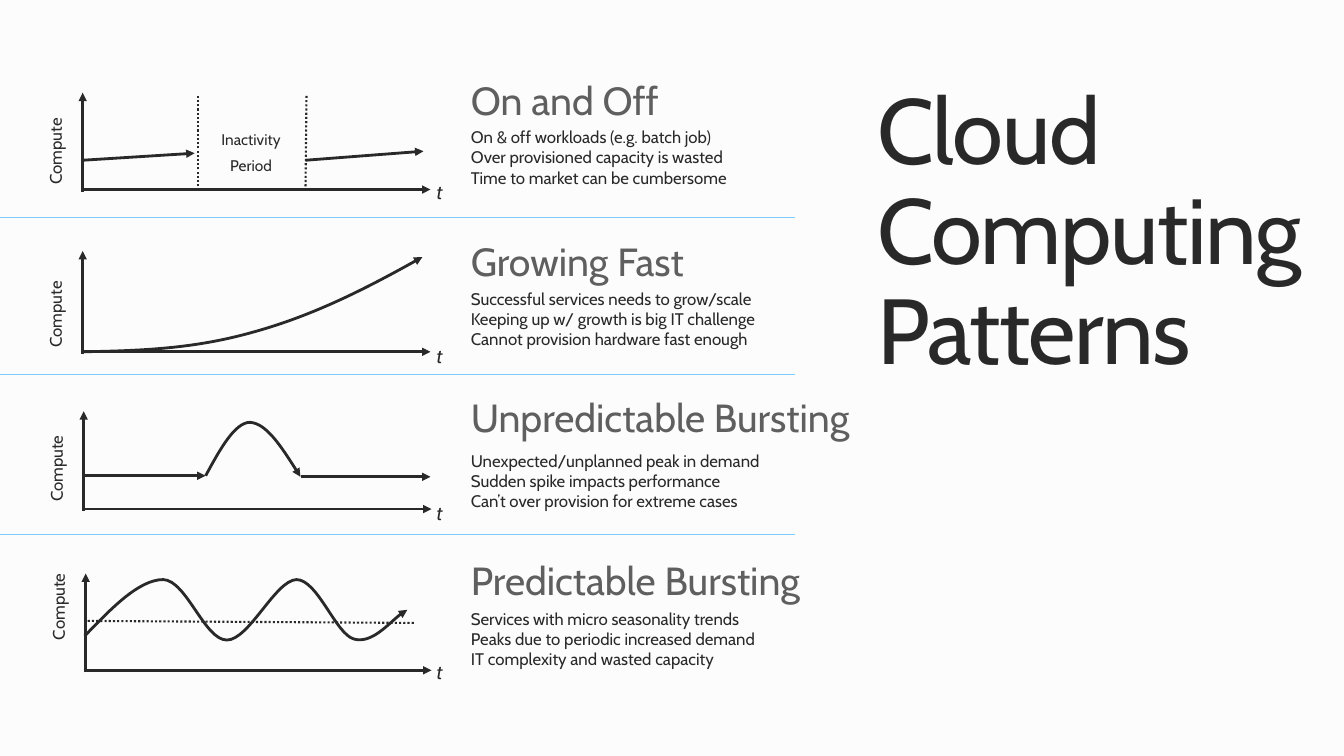
from dataclasses import dataclass
from itertools import chain

from lxml.etree import SubElement
from pptx import Presentation
from pptx.dml.color import RGBColor as Color
from pptx.enum.dml import MSO_LINE_DASH_STYLE as Dash
from pptx.enum.shapes import MSO_CONNECTOR_TYPE as Connector
from pptx.enum.text import MSO_ANCHOR as Anchor, PP_ALIGN as Align
from pptx.oxml.ns import qn
from pptx.util import Inches, Pt


@dataclass(frozen=True)
class Theme:
    font: str = "Cabin"
    paper: str = "FCFCFC"
    ink: str = "292929"
    grey: str = "5F5F5F"
    divider: str = "7ECCFF"
    title: int = 66
    heading: int = 28
    axis: int = 14
    body: int = 12
    note: int = 11
    stroke: float = 2
    dotted: float = 1.5
    hairline: float = 0.75


def apply(target, formats):
    for name, value in formats.items():
        setattr(target, name, value)


class PatternSlide:
    def __init__(self, deck, theme):
        self.theme = theme
        self.page = deck.slides.add_slide(deck.slide_layouts[6])
        fill = self.page.background.fill
        fill.solid()
        fill.fore_color.rgb = Color.from_string(theme.paper)

    def text(self, place, lines, size, color=None, inset=(0, 0), italic=None,
             rotation=0, tracking=None, **paragraph_format):
        box = self.page.shapes.add_textbox(*map(Inches, place))
        box.rotation = rotation
        frame = box.text_frame
        side, edge = map(Inches, inset)
        apply(frame, {
            "word_wrap": True, "vertical_anchor": Anchor.TOP,
            "margin_left": side, "margin_right": side,
            "margin_top": edge, "margin_bottom": edge,
        })
        for index, line in enumerate(lines):
            para = frame.add_paragraph() if index else frame.paragraphs[0]
            apply(para, paragraph_format)
            span = para.add_run()
            span.text = line
            apply(span.font, {"name": self.theme.font, "size": Pt(size), "italic": italic})
            span.font.color.rgb = Color.from_string(color or self.theme.ink)
            if tracking is not None:
                span.font._element.set("spc", str(tracking))

    def stroke(self, shape, color, width, arrow, dash=None):
        line = shape.line
        line.color.rgb = Color.from_string(color)
        apply(line, {"width": Pt(width), "dash_style": dash})
        if arrow:
            SubElement(line._get_or_add_ln(), qn("a:tailEnd"), type="triangle")

    def line(self, start, end, color=None, width=None, arrow=False, dash=None):
        ends = map(Inches, (*start, *end))
        connector = self.page.shapes.add_connector(Connector.STRAIGHT, *ends)
        self.stroke(connector, color or self.theme.ink,
                    width or self.theme.stroke, arrow, dash)
        SubElement(connector._element.spPr, qn("a:effectLst"))

    def arrow(self, start, end):
        self.line(start, end, arrow=True)

    def dots(self, start, end):
        self.line(start, end, width=self.theme.dotted, dash=Dash.ROUND_DOT)

    def curve(self, start, curves):
        points = [tuple(map(Inches, point)) for point in chain.from_iterable(curves)]
        builder = self.page.shapes.build_freeform(*map(Inches, start))
        builder.add_line_segments(points, close=False)
        shape = builder.convert_to_shape()
        segments = list(shape._element.iter(qn("a:lnTo")))
        outline = segments[0].getparent()
        for first in range(0, len(segments), 3):
            cubic = SubElement(outline, qn("a:cubicBezTo"))
            for segment in segments[first:first + 3]:
                cubic.append(segment[0])
                outline.remove(segment)
        shape.shadow.inherit = False
        shape.fill.background()
        self.stroke(shape, self.theme.ink, self.theme.stroke, arrow=True)

    def axes(self, x, top, base, origin, time_top, label_top):
        self.arrow((x, base + 0.02), (x, top))
        self.arrow((origin, base), (origin + 3.45, base))
        self.text((4.33, time_top, 1.25, 0.15), ["t"], self.theme.axis, italic=True)
        self.text((x - 0.8, label_top, 1.12, 0.26), ["Compute"], self.theme.body,
                  inset=(0.1, 0.05), rotation=270,
                  alignment=Align.CENTER, line_spacing=Pt(10.7))

    def description(self, heading, heading_top, lines, body_top):
        self.text((4.67, heading_top, 4.31, 0.53), [heading], self.theme.heading,
                  self.theme.grey, inset=(0, 0.05), line_spacing=0.9)
        self.text((4.67, body_top, 3.95, 0.61), lines, self.theme.body)


PATTERNS = [
    ((0.82, 0.92, 1.88, 0.82, 1.78, 1.37), "On and Off", 0.76, 1.26, [
        "On & off workloads (e.g. batch job)",
        "Over provisioned capacity is wasted",
        "Time to market can be cumbersome"]),
    ((0.82, 2.49, 3.49, 0.82, 3.41, 2.99), "Growing Fast", 2.36, 2.86, [
        "Successful services needs to grow/scale",
        "Keeping up w/ growth is big IT challenge",
        "Cannot provision hardware fast enough"]),
    ((0.83, 4.08, 5.05, 0.83, 4.97, 4.52), "Unpredictable Bursting", 3.91, 4.47, [
        "Unexpected/unplanned peak in demand",
        "Sudden spike impacts performance",
        "Can’t over provision for extreme cases"]),
    ((0.85, 5.69, 6.65, 0.83, 6.55, 5.89), "Predictable Bursting", 5.52, 6.04, [
        "Services with micro seasonality trends",
        "Peaks due to periodic increased demand",
        "IT complexity and wasted capacity"]),
]

LOADS = [
    ((0.82, 1.59), (1.93, 1.52)),
    ((3.03, 1.59), (4.2, 1.5)),
    ((0.82, 4.72), (2.04, 4.72)),
    ((2.99, 4.73), (4.27, 4.73)),
]

CURVES = [
    ((0.81, 3.49), [
        ((1.48, 3.48), (1.97, 3.45), (2.53, 3.29)),
        ((3.1, 3.13), (3.64, 2.86), (4.19, 2.55))]),
    ((2.04, 4.72), [
        ((2.18, 4.46), (2.33, 4.19), (2.48, 4.19)),
        ((2.64, 4.2), (2.81, 4.46), (2.98, 4.73))]),
    ((0.84, 6.31), [
        ((1.11, 6.03), (1.38, 5.75), (1.62, 5.75)),
        ((1.85, 5.76), (2.03, 6.35), (2.25, 6.35)),
        ((2.47, 6.35), (2.73, 5.76), (2.94, 5.75)),
        ((3.15, 5.75), (3.33, 6.29), (3.51, 6.34)),
        ((3.69, 6.39), (3.93, 6.1), (4.04, 6.05))]),
]

DOTTED = [
    ((1.96, 1.89), (1.96, 0.95)),
    ((3.03, 1.89), (3.04, 0.95)),
    ((0.87, 6.16), (4.11, 6.18)),
]


def main():
    deck = Presentation()
    apply(deck, {"slide_width": Inches(13.33), "slide_height": Inches(7.5)})
    theme = Theme()
    slide = PatternSlide(deck, theme)
    for axes, heading, heading_top, body_top, lines in PATTERNS:
        slide.axes(*axes)
        slide.description(heading, heading_top, lines, body_top)
    for load in LOADS:
        slide.arrow(*load)
    for start, curves in CURVES:
        slide.curve(start, curves)
    for dotted in DOTTED:
        slide.dots(*dotted)
    slide.text((1.88, 1.28, 1.22, 0.52), ["Inactivity", "Period"], theme.note,
               inset=(0.1, 0.05), alignment=Align.CENTER,
               line_spacing=Pt(10.7), space_after=Pt(8))
    for y in (2.16, 3.72, 5.3):
        slide.line((0, y), (7.89, y), theme.divider, theme.hairline)
    slide.text((8.7, 0.84, 4.63, 3), ["Cloud Computing Patterns"], theme.title,
               tracking=-100, line_spacing=0.9)
    deck.save("out.pptx")


if __name__ == "__main__":
    main()
